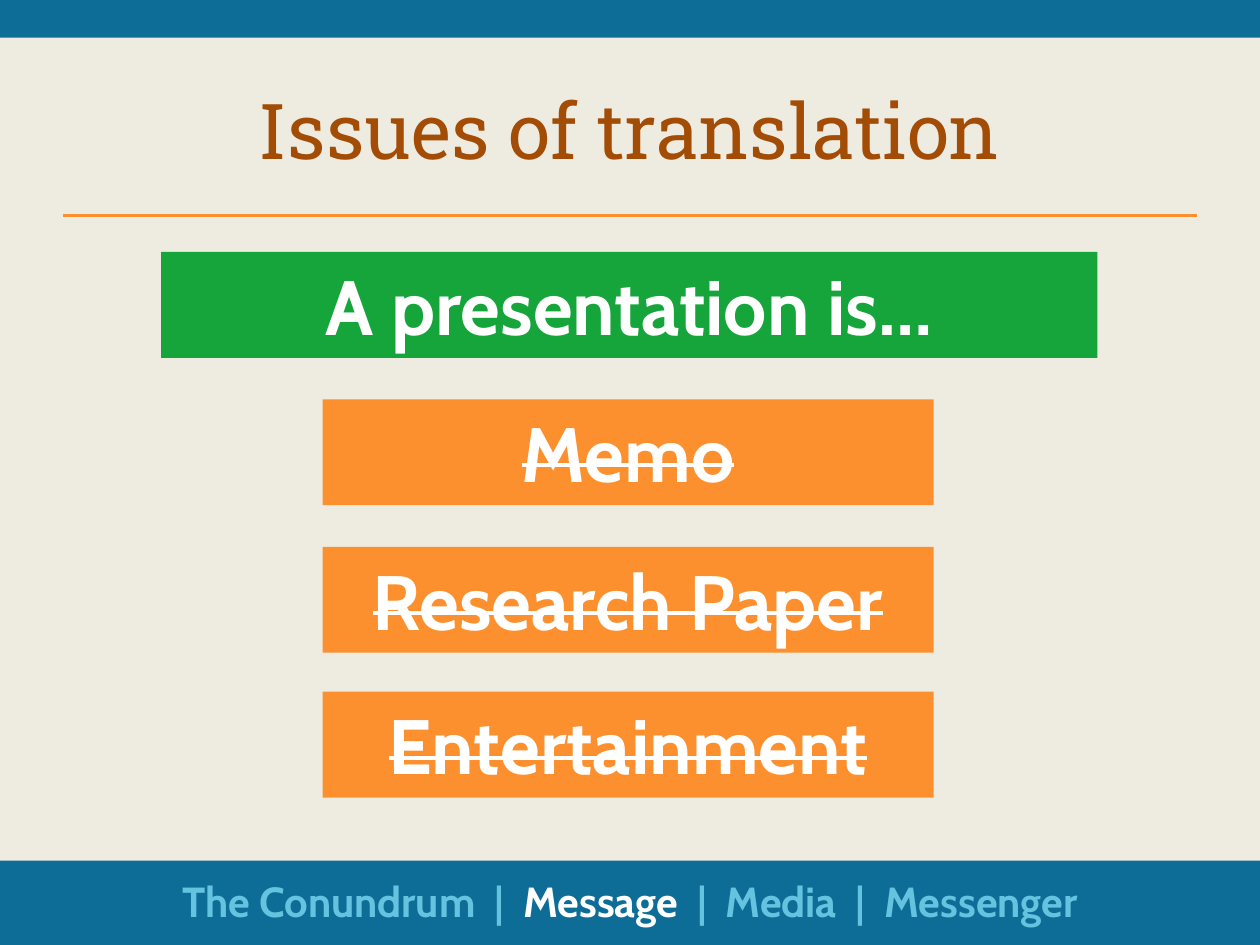
"""Build the "Issues of translation" slide with its struck-out list and section footer."""
from dataclasses import dataclass

from lxml import etree
from pptx import Presentation
from pptx.dml.color import RGBColor
from pptx.enum.shapes import MSO_CONNECTOR, MSO_SHAPE
from pptx.enum.text import MSO_ANCHOR, MSO_AUTO_SIZE, PP_ALIGN
from pptx.oxml.ns import qn
from pptx.util import Inches, Pt

RECTANGLE = MSO_SHAPE.RECTANGLE
STRAIGHT = MSO_CONNECTOR.STRAIGHT
CENTER = PP_ALIGN.CENTER
MIDDLE = MSO_ANCHOR.MIDDLE
TOP = MSO_ANCHOR.TOP
GROW = MSO_AUTO_SIZE.SHAPE_TO_FIT_TEXT


@dataclass(frozen=True)
class Theme:
    paper: RGBColor = RGBColor.from_string("EEECE1")
    blue: RGBColor = RGBColor.from_string("0D6D97")
    sky: RGBColor = RGBColor.from_string("65C3DF")
    orange: RGBColor = RGBColor.from_string("FD902E")
    brown: RGBColor = RGBColor.from_string("A34C05")
    green: RGBColor = RGBColor.from_string("15A53B")
    white: RGBColor = RGBColor.from_string("FFFFFF")
    heading_font: str = "Roboto Slab"
    body_font: str = "Cabin"
    large: Pt = Pt(44)
    small: Pt = Pt(24)


theme = Theme()


def add_block(left, top, width, height, color):
    block = slide.shapes.add_shape(
        RECTANGLE, Inches(left), Inches(top), Inches(width), Inches(height))
    block.shadow.inherit = False
    block.fill.solid()
    block.fill.fore_color.rgb = color
    block.line.fill.background()
    return block


def style_run(run, font_name, size, color, bold):
    run.font.name = font_name
    run.font.size = size
    run.font.color.rgb = color
    run.font.bold = bold


prs = Presentation()
prs.slide_width, prs.slide_height = Inches(10), Inches(7.5)
slide = prs.slides.add_slide(prs.slide_layouts[5])
slide.background.fill.solid()
slide.background.fill.fore_color.rgb = theme.paper

add_block(0, 6.83, 10, 0.67, theme.blue)
add_block(0, 0, 10, 0.3, theme.blue)

title_rule = slide.shapes.add_connector(
    STRAIGHT, Inches(0.5), Inches(1.71), Inches(9.5), Inches(1.71))
title_rule.line.color.rgb = theme.orange
title_rule.line.width = Pt(2)
etree.SubElement(title_rule._element.spPr, qn("a:effectLst"))

title = slide.shapes.title
title.left, title.top = Inches(0.5), Inches(0.5)
title.width, title.height = Inches(9), Inches(1.05)
title.text_frame.text = "Issues of translation"
title.text_frame.vertical_anchor = MIDDLE
heading = title.text_frame.paragraphs[0]
heading.alignment = CENTER
style_run(heading.runs[0], theme.heading_font, theme.large, theme.brown, False)

statements = [
    ("A presentation is…", 1.28, 2, 7.43, theme.green, False),
    ("Memo", 2.56, 3.17, 4.85, theme.orange, True),
    ("Research Paper", 2.56, 4.34, 4.85, theme.orange, True),
    ("Entertainment", 2.56, 5.49, 4.85, theme.orange, True),
]
for wording, left, top, width, color, struck in statements:
    frame = add_block(left, top, width, 0.84, color).text_frame
    frame.word_wrap = True
    frame.auto_size = GROW
    frame.vertical_anchor = TOP
    frame.text = wording
    statement = frame.paragraphs[0]
    statement.alignment = CENTER
    style_run(statement.runs[0], theme.body_font, theme.large, theme.white, True)
    if struck:
        statement.runs[0].font._element.set("strike", "sngStrike")

footer = slide.shapes.add_textbox(Inches(0.5), Inches(6.9), Inches(9), Inches(0.5)).text_frame
footer.word_wrap = True
footer.auto_size = GROW
sections = footer.paragraphs[0]
sections.alignment = CENTER
for wording, color in [
    ("The Conundrum  |  ", theme.sky),
    ("Message  ", theme.white),
    ("|  Media  |  Messenger", theme.sky),
]:
    section = sections.add_run()
    section.text = wording
    style_run(section, theme.body_font, theme.small, color, True)

prs.save("out.pptx")
